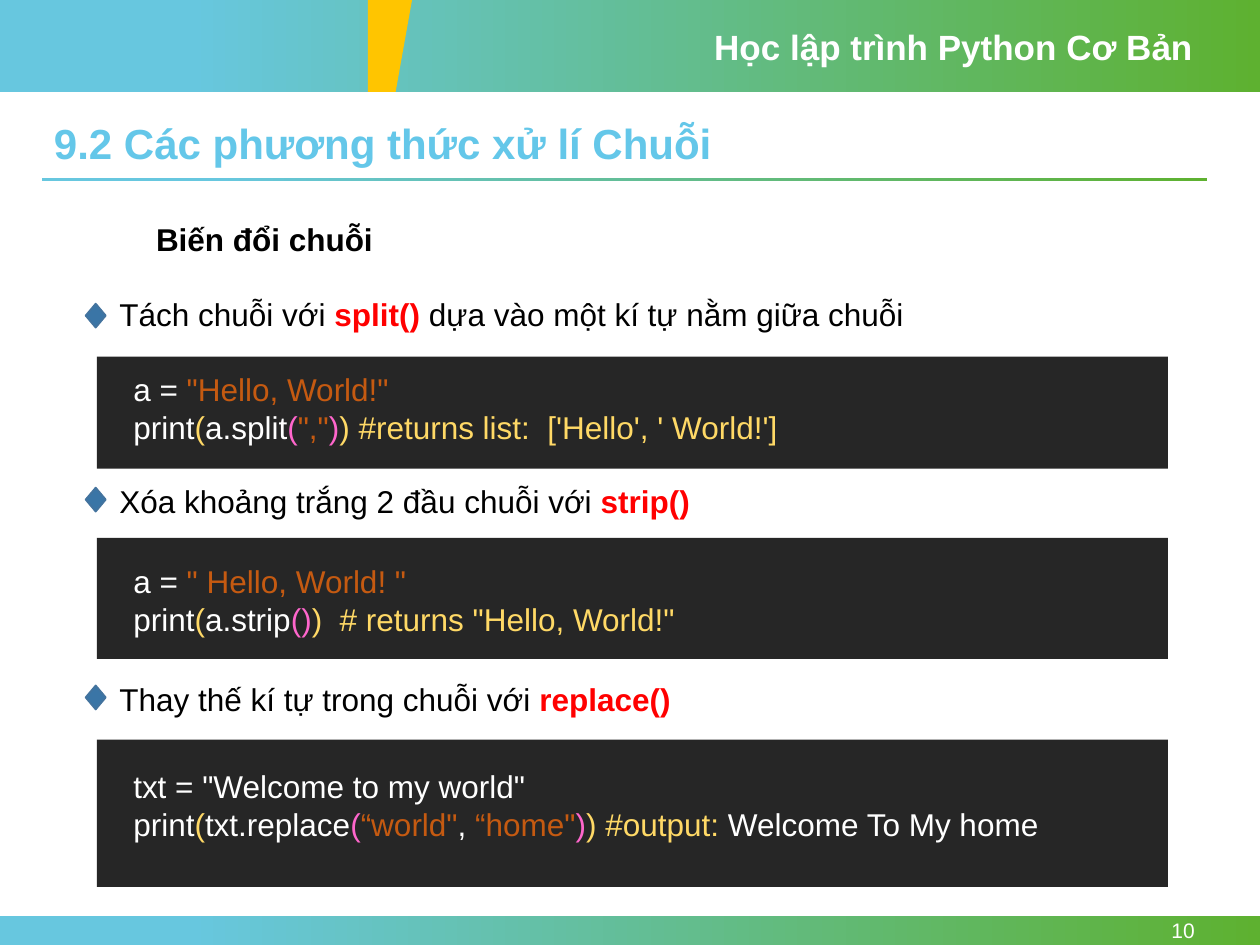
from dataclasses import dataclass

from pptx import Presentation
from pptx.dml.color import RGBColor
from pptx.enum import shapes, text
from pptx.util import Inches, Pt


@dataclass(frozen=True)
class Theme:
    font: str = "Arial"
    title: int = 24
    header: int = 20
    body: int = 18
    number: int = 12
    white: str = "FFFFFF"
    black: str = "000000"
    sky: str = "67C7DF"
    green: str = "5EB130"
    amber: str = "FFC500"
    heading: str = "64C7E9"
    method: str = "FF0000"
    panel: str = "262626"
    diamond: str = "3A75A6"
    diamond_edge: str = "43739E"
    string: str = "C55A11"
    outer: str = "FFD966"
    inner: str = "FF66CC"


theme = Theme()
rgb = RGBColor.from_string

prs = Presentation()
prs.slide_width, prs.slide_height = Inches(10), Inches(7.5)
slide = prs.slides.add_slide(prs.slide_layouts[6])


def add_block(kind, box, fill=None, line=None):
    """Add a preset shape; without a fill colour it gets the sky-to-green gradient."""
    block = slide.shapes.add_shape(kind, *map(Inches, box))
    block.shadow.inherit = False
    if fill:
        block.fill.solid()
        block.fill.fore_color.rgb = rgb(fill)
    else:
        block.fill.gradient()
        block.fill.gradient_angle = 0
        stops = block.fill.gradient_stops
        for stop, position, color in zip(stops, (0.15, 1), (theme.sky, theme.green)):
            stop.position = position
            stop.color.rgb = rgb(color)
    if line:
        block.line.color.rgb = rgb(line)
        block.line.width = Pt(1)
    else:
        block.line.fill.background()


def add_text(box, lines, size, bold=False):
    """Add a text box; each line is a list of (wording, colour) runs."""
    frame = slide.shapes.add_textbox(*map(Inches, box)).text_frame
    frame.word_wrap = True
    for index, line in enumerate(lines):
        paragraph = frame.add_paragraph() if index else frame.paragraphs[0]
        paragraph.font.name = theme.font
        paragraph.font.size = Pt(size)
        paragraph.font.bold = bold
        for wording, color in line:
            run = paragraph.add_run()
            run.text = wording
            run.font.color.rgb = rgb(color)
            if color == theme.method:
                run.font.bold = True
    return frame


# Header and footer bands, title rule
for band in ((0, 0, 10, 0.73), (0, 7.27, 10, 0.23), (0.33, 1.41, 9.25, 0.03)):
    add_block(shapes.MSO_SHAPE.RECTANGLE, band)

builder = slide.shapes.build_freeform(Inches(2.92), 0)
builder.add_line_segments(
    [(Inches(x), Inches(y)) for x, y in ((3.27, 0), (3.14, 0.73), (2.92, 0.73))]
)
wedge = builder.convert_to_shape()
wedge.shadow.inherit = False
wedge.fill.solid()
wedge.fill.fore_color.rgb = rgb(theme.amber)
wedge.line.fill.background()

add_text((5.57, 0.15, 4, 0.44), [[("Học lập trình Python Cơ Bản", theme.white)]],
         theme.header, bold=True)
page_number = add_text((8.66, 7.27, 0.92, 0.23), [[("10", theme.white)]], theme.number)
page_number.vertical_anchor = text.MSO_ANCHOR.MIDDLE
page_number.paragraphs[0].alignment = text.PP_ALIGN.RIGHT

title = add_text((0.33, 0.93, 9.25, 0.46),
                 [[("9.2 Các phương thức xử lí Chuỗi", theme.heading)]],
                 theme.title, bold=True)
title.paragraphs[0].line_spacing = 0.9
add_text((1.14, 1.7, 7.03, 0.4), [[("Biến đổi chuỗi", theme.black)]],
         theme.body, bold=True)

# Each method: point top, point runs, panel top, panel height, code top, code lines
methods = [
    (2.29,
     [("Tách chuỗi với ", theme.black), ("split() ", theme.method),
      ("dựa vào một kí tự nằm giữa chuỗi", theme.black)],
     2.83, 0.89, 2.89,
     [[("a = ", theme.white), ('"Hello, World!"', theme.string)],
      [("print", theme.white), ("(", theme.outer), ("a.split", theme.white),
       ("(", theme.inner), ('","', theme.string), (")", theme.inner),
       (") #returns list:  ['Hello', ' World!']", theme.outer)]]),
    (3.78,
     [("Xóa khoảng trắng 2 đầu chuỗi với ", theme.black), ("strip()", theme.method)],
     4.27, 0.96, 4.41,
     [[("a = ", theme.white), ('" Hello, World! "', theme.string)],
      [("print", theme.white), ("(", theme.outer), ("a.strip", theme.white),
       ("()", theme.inner), (')  # returns "Hello, World!"', theme.outer)]]),
    (5.35,
     [("Thay thế kí tự trong chuỗi với ", theme.black), ("replace()", theme.method)],
     5.87, 1.17, 6.04,
     [[('txt = "Welcome to my world"', theme.white)],
      [("print", theme.white), ("(", theme.outer), ("txt.replace", theme.white),
       ("(", theme.inner), ('“world"', theme.string), (", ", theme.white),
       ('“home"', theme.string), (")", theme.inner), (") #output: ", theme.outer),
       ("Welcome To My home", theme.white)]]),
]
diamond_tops = (2.41, 3.87, 5.44)

for method, diamond_top in zip(methods, diamond_tops):
    point_top, point, panel_top, panel_height, code_top, code = method
    add_block(shapes.MSO_SHAPE.FLOWCHART_DECISION, (0.68, diamond_top, 0.16, 0.19),
              theme.diamond, theme.diamond_edge)
    add_text((0.85, point_top, 8.57, 0.4), [point], theme.body)
    add_block(shapes.MSO_SHAPE.RECTANGLE, (0.77, panel_top, 8.5, panel_height),
              theme.panel)
    add_text((0.96, code_top, 8.1, 0.71), code, theme.body)

prs.save("out.pptx")
